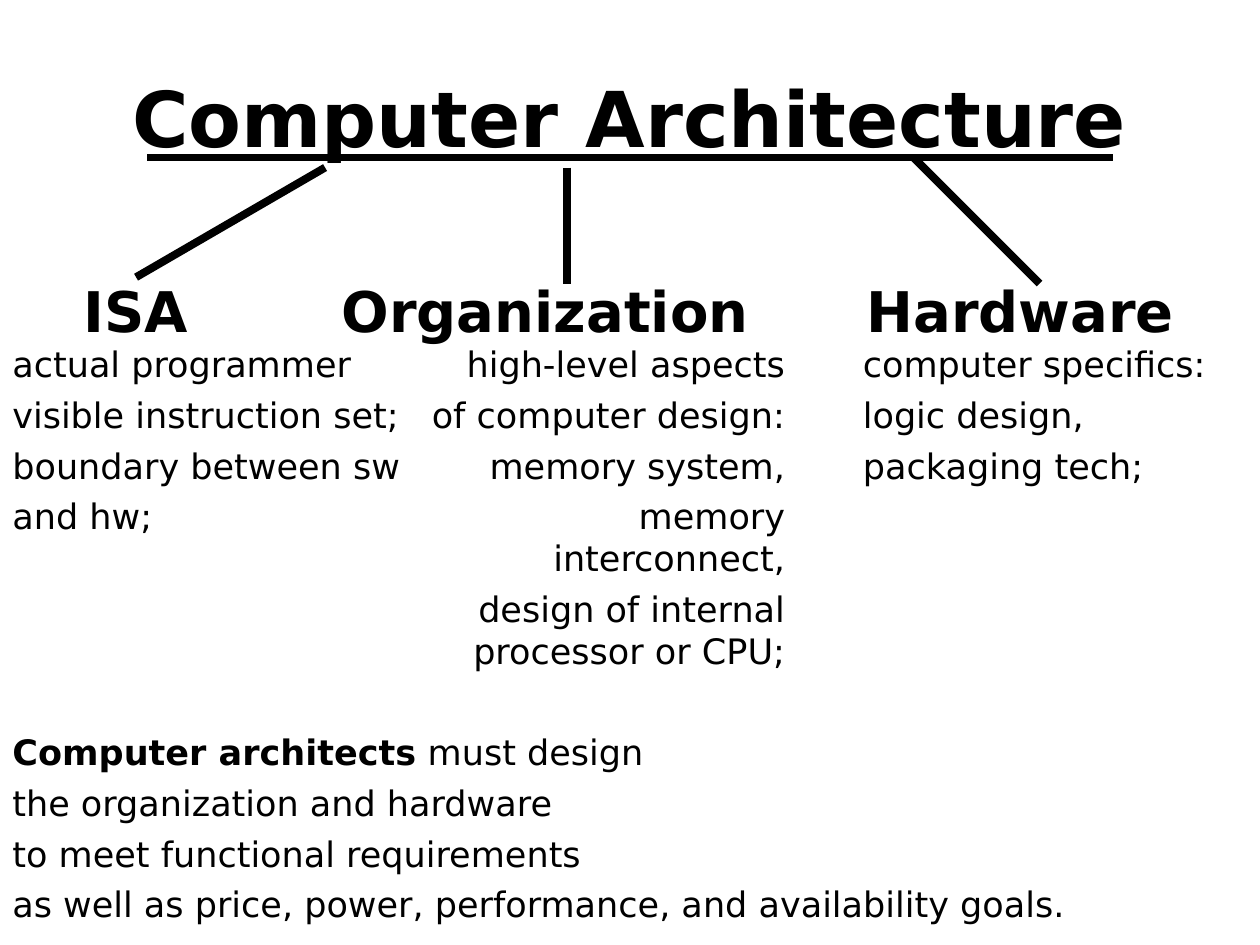
from lxml import etree
from pptx import Presentation
from pptx.dml.color import RGBColor
from pptx.enum.shapes import MSO_CONNECTOR
from pptx.enum.text import MSO_ANCHOR, MSO_AUTO_SIZE, PP_ALIGN
from pptx.oxml.ns import qn
from pptx.util import Inches, Pt

BLACK = RGBColor(0, 0, 0)
FONT = "DejaVu Sans"
STRAIGHT = MSO_CONNECTOR.STRAIGHT
MIDDLE = MSO_ANCHOR.MIDDLE
NO_AUTOFIT = MSO_AUTO_SIZE.NONE
LEFT, CENTER, RIGHT = PP_ALIGN.LEFT, PP_ALIGN.CENTER, PP_ALIGN.RIGHT

HANGING = Inches(0.38)
BRANCH_NAMES = ["ISA", "Organization", "Hardware"]
BRANCH_CENTERS = [0.98, 4.23, 8.0]  # from the left edge of the text area

TITLE_RULE = (1.17, 1.25, 8.83, 1.25)
BRANCH_LINES = [
    (4.5, 1.33, 4.5, 2.25),
    (2.58, 1.33, 1.08, 2.2),
    (7.25, 1.25, 8.25, 2.25),
]

COLUMNS = [
    ((0, 2.67, 3.5, 4.83), LEFT, [
        "actual programmer",
        "visible instruction set;",
        "boundary between sw",
        "and hw;",
    ]),
    ((3.08, 2.67, 3.25, 4.83), RIGHT, [
        "high-level aspects",
        "of computer design:",
        "memory system,",
        "memory interconnect,",
        "design of internal processor or CPU;",
    ]),
    ((6.75, 2.67, 3.25, 4.83), LEFT, [
        "computer specifics:",
        "logic design,",
        "packaging tech;",
    ]),
]
SUMMARY_LEAD = "Computer architects"
SUMMARY = [
    " must design",
    "the organization and hardware",
    "to meet functional requirements",
    "as well as price, power, performance, and availability goals.",
]


def style(font, size, bold=False):
    font.name = FONT
    font.size = Pt(size)
    font.bold = bold
    font.color.rgb = BLACK


def place_title(slide, box):
    title = slide.shapes.title
    title.left, title.top, title.width, title.height = map(Inches, box)
    frame = title.text_frame
    frame.text = "Computer Architecture"
    frame.auto_size = NO_AUTOFIT
    frame.vertical_anchor = MIDDLE
    paragraph = frame.paragraphs[0]
    paragraph.alignment = CENTER
    style(paragraph.font, 44, bold=True)


def add_line(slide, ends):
    line = slide.shapes.add_connector(STRAIGHT, *map(Inches, ends))
    line.line.color.rgb = BLACK
    line.line.width = Pt(4.5)
    etree.SubElement(line._element.spPr, qn("a:effectLst"))


def add_text_frame(slide, box):
    frame = slide.shapes.add_textbox(*map(Inches, box)).text_frame
    frame.word_wrap = True
    return frame


def add_branch_names(slide, box):
    """Set the three branch names on one line, each centred on a tab stop."""
    frame = add_text_frame(slide, box)
    frame.vertical_anchor = MIDDLE
    paragraph = frame.paragraphs[0]
    paragraph.text = "".join("\t" + name for name in BRANCH_NAMES)
    stops = etree.SubElement(paragraph._p.get_or_add_pPr(), qn("a:tabLst"))
    for center in BRANCH_CENTERS:
        etree.SubElement(stops, qn("a:tab"), pos=str(Inches(center)), algn="ctr")
    style(paragraph.font, 32, bold=True)


def add_lines_of_text(slide, box, alignment, lines):
    frame = add_text_frame(slide, box)
    for index, line in enumerate(lines):
        paragraph = frame.add_paragraph() if index else frame.paragraphs[0]
        properties = paragraph._p.get_or_add_pPr()
        properties.set("marL", str(HANGING))
        properties.set("indent", str(-HANGING))
        paragraph.alignment = alignment
        if index:
            paragraph.space_before = Pt(5)
        paragraph.add_run().text = line
        style(paragraph.font, 20)
    return frame


def add_summary(slide, box):
    frame = add_lines_of_text(slide, box, LEFT, [SUMMARY_LEAD] + SUMMARY[1:])
    first = frame.paragraphs[0]
    first.runs[0].font.bold = True
    first.add_run().text = SUMMARY[0]


def main():
    presentation = Presentation()
    presentation.slide_width = Inches(10)
    presentation.slide_height = Inches(7.5)
    slide = presentation.slides.add_slide(
        presentation.slide_layouts.get_by_name("Title Only"))

    place_title(slide, (0, 0.3, 10, 1.25))
    add_branch_names(slide, (0, 2, 10, 0.92))
    for ends in [TITLE_RULE] + BRANCH_LINES:
        add_line(slide, ends)
    for box, alignment, lines in COLUMNS:
        add_lines_of_text(slide, box, alignment, lines)
    add_summary(slide, (0, 5.75, 10, 1.75))

    presentation.save("out.pptx")


if __name__ == "__main__":
    main()
